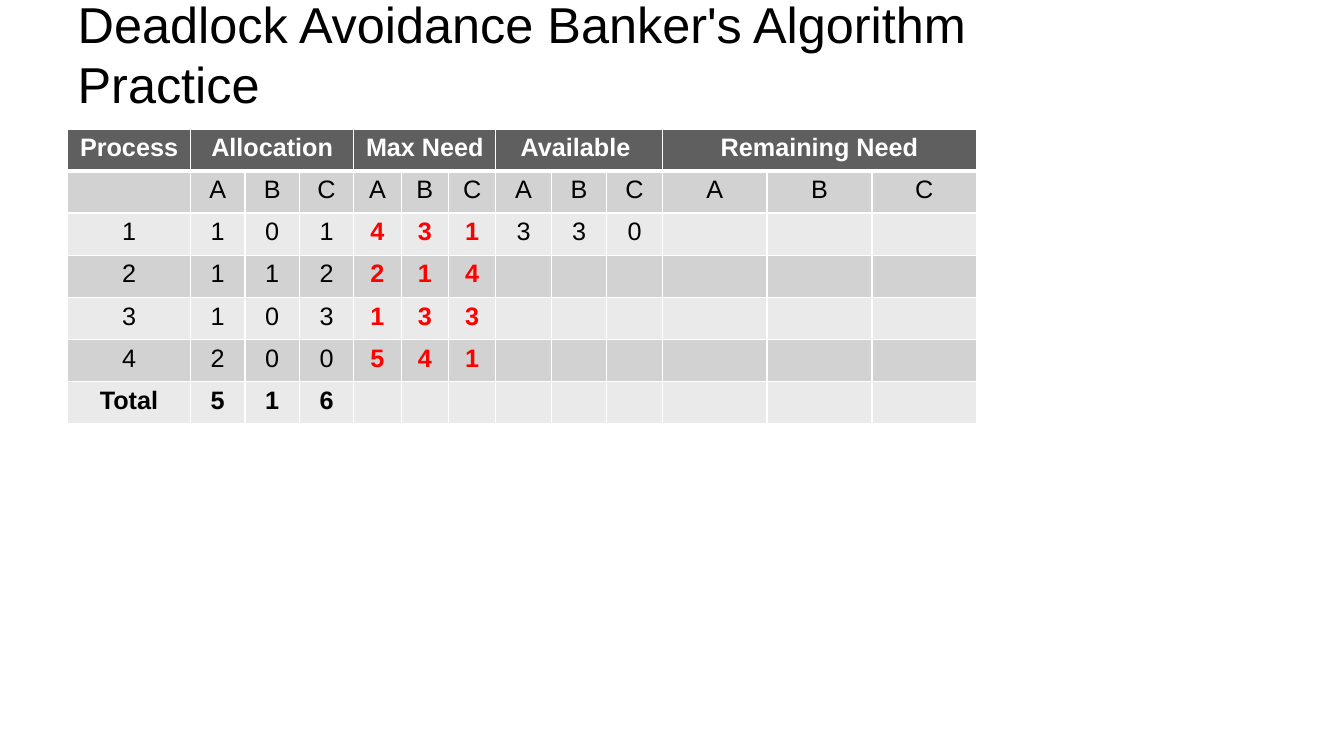
from lxml.etree import SubElement
from pptx import Presentation
from pptx.dml.color import RGBColor
from pptx.enum.text import MSO_ANCHOR, MSO_AUTO_SIZE, PP_ALIGN
from pptx.oxml.ns import qn
from pptx.util import Inches, Pt

BLACK = RGBColor(0x00, 0x00, 0x00)
WHITE = RGBColor(0xFF, 0xFF, 0xFF)
RED = RGBColor(0xFF, 0x00, 0x00)
HEADER_GREY = RGBColor(0x5F, 0x5F, 0x5F)
BANDS = [RGBColor(0xEA, 0xEA, 0xEA), RGBColor(0xD2, 0xD2, 0xD2)]

TITLE_LINES = ["Deadlock Avoidance Banker's Algorithm", "Practice"]
GROUPS = ["Allocation", "Max Need", "Available ", "Remaining Need"]
COLUMN_WIDTHS = [1.22] + [0.54] * 3 + [0.47] * 3 + [0.55] * 3 + [1.04] * 3
MAX_NEED_COLUMNS = range(4, 7)
ROWS = [
    ["Process"] + [text for group in GROUPS for text in (group, "", "")],
    [""] + list("ABC") * len(GROUPS),
    list("1101431330"),
    list("2112214"),
    list("3103133"),
    list("4200541"),
    ["Total", "5", "1", "6"],
]


def add_span(para, text, color, **font_values):
    """Write one run of Arial text with the given font values."""
    span = para.add_run()
    span.text = text
    for name, value in {"name": "Arial", **font_values}.items():
        setattr(span.font, name, value)
    span.font.color.rgb = color


def add_borders(cell, bottom_width):
    """Draw white lines on the four sides of a cell."""
    properties = cell._tc.get_or_add_tcPr()
    widths = {"a:lnL": 1, "a:lnR": 1, "a:lnT": 1, "a:lnB": bottom_width}
    for tag, width in widths.items():
        line = SubElement(properties, qn(tag), w=str(Pt(width)))
        fill = SubElement(line, qn("a:solidFill"))
        SubElement(fill, qn("a:srgbClr"), val=str(WHITE))


def add_title(page, left, top, width, height):
    """Place the two-line slide title."""
    box = page.shapes.title
    places = {"left": left, "top": top, "width": width, "height": height}
    for name, value in places.items():
        setattr(box, name, Inches(value))
    frame = box.text_frame
    settings = {"word_wrap": True, "auto_size": MSO_AUTO_SIZE.NONE,
                "vertical_anchor": MSO_ANCHOR.MIDDLE}
    for name, value in settings.items():
        setattr(frame, name, value)
    para = frame.paragraphs[0]
    para.alignment = PP_ALIGN.LEFT
    for number, text in enumerate(TITLE_LINES):
        if number:
            para.add_line_break()
        add_span(para, text, BLACK, size=Pt(36))


def fill_cell(cell, row, column, text):
    """Colour one cell and write its text."""
    header = row == 0
    needed = row > 1 and column in MAX_NEED_COLUMNS
    total = row == len(ROWS) - 1
    add_borders(cell, 3 if header else 1)
    cell.fill.solid()
    cell.fill.fore_color.rgb = HEADER_GREY if header else BANDS[row % 2]
    if text:
        para = cell.text_frame.paragraphs[0]
        para.alignment = PP_ALIGN.CENTER
        color = WHITE if header else RED if needed else BLACK
        add_span(para, text, color, size=Pt(18), bold=header or needed or total)


def add_resource_table(page, left, top, height):
    """Place the table of processes and resources."""
    table = page.shapes.add_table(
        len(ROWS), len(COLUMN_WIDTHS), Inches(left), Inches(top),
        Inches(sum(COLUMN_WIDTHS)), Inches(height)).table
    for column, column_width in zip(table.columns, COLUMN_WIDTHS):
        column.width = Inches(column_width)
    for row, texts in enumerate(ROWS):
        table.rows[row].height = Inches(height / len(ROWS))
        for column in range(len(COLUMN_WIDTHS)):
            text = texts[column] if column < len(texts) else ""
            fill_cell(table.cell(row, column), row, column, text)
    for first in range(1, len(COLUMN_WIDTHS), 3):
        table.cell(0, first).merge(table.cell(0, first + 2))


def main():
    """Build and save the deck."""
    deck = Presentation()
    deck.slide_width, deck.slide_height = Inches(13.33), Inches(7.5)
    page = deck.slides.add_slide(deck.slide_layouts.get_by_name("Title Only"))
    add_title(page, 0.67, 0.21, 12, 0.64)
    add_resource_table(page, 0.67, 1.28, 2.92)
    deck.save("out.pptx")


if __name__ == "__main__":
    main()
